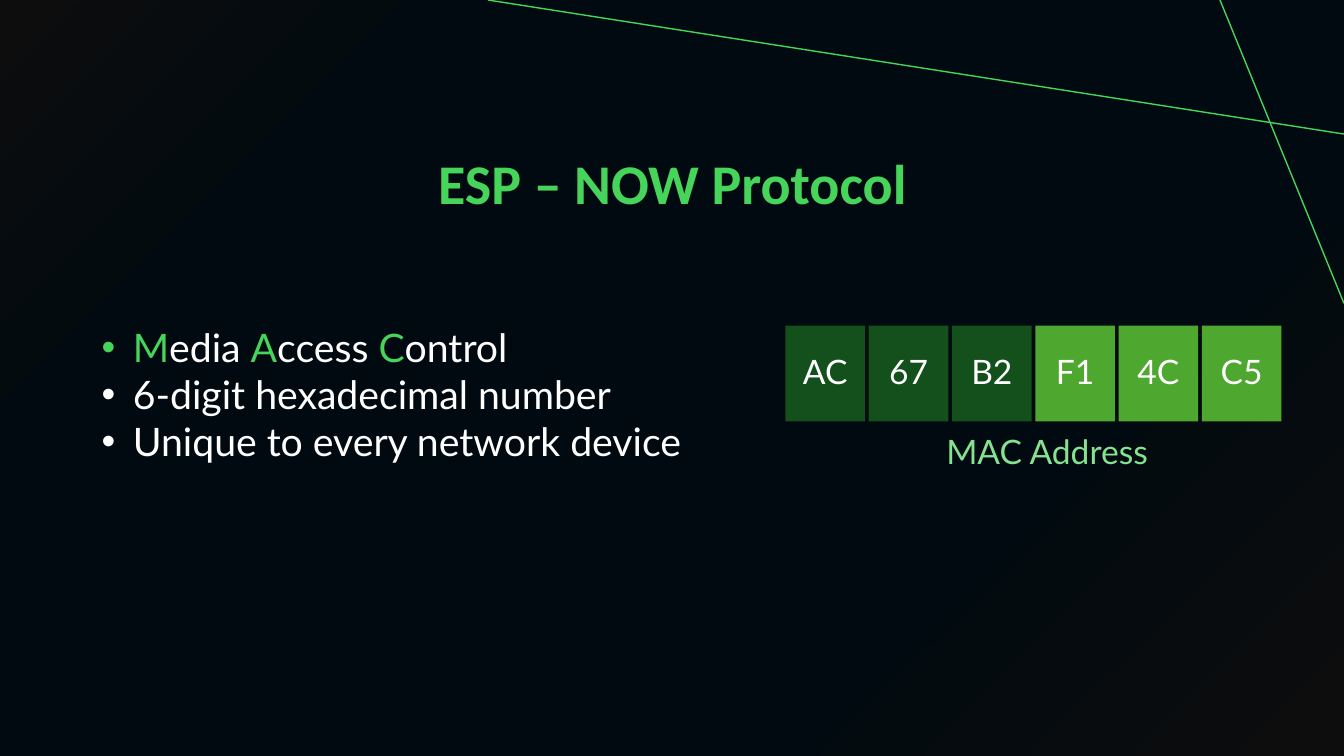
from lxml.etree import SubElement
from pptx import Presentation
from pptx.dml.color import RGBColor
from pptx.enum.shapes import MSO_CONNECTOR, MSO_SHAPE
from pptx.enum.text import MSO_ANCHOR, MSO_AUTO_SIZE, PP_ALIGN
from pptx.oxml.ns import qn
from pptx.util import Inches, Pt

GREEN, WHITE = "47D45A", "FFFFFF"
DARK_GREEN, LEAF_GREEN, PALE_GREEN = "13501B", "4EA72E", "84E291"
BACKGROUND_STOPS = [(0, "0D0D0D"), (23, "010A10"), (70, "010A10"), (100, "0D0D0D")]
ACCENT_LINES = [(13.33, 1.33, 4.84, 0), (12.1, 0, 13.33, 3.01)]
MAC_BYTES = ["AC", "67", "B2", "F1", "4C", "C5"]
FIRST_BYTE_LEFT, LAST_BYTE_LEFT = 7.79, 11.92
MAC_FACTS = [
    [("M", GREEN), ("edia ", WHITE), ("A", GREEN), ("ccess ", WHITE), ("C", GREEN), ("ontrol", WHITE)],
    [("6-digit hexadecimal number", WHITE)],
    [("Unique to every network device", WHITE)],
]
CENTERED = {"alignment": PP_ALIGN.CENTER}


def rgb(color):
    """Turn a hex string into a colour."""
    return RGBColor.from_string(color)


def apply(target, formats):
    """Set each attribute in formats on target."""
    for attribute, value in formats.items():
        setattr(target, attribute, value)


def paint_background(slide):
    """Fill the background with a gradient radiating from the top left corner."""
    slide.background.fill.gradient()
    gradient = slide.element.xpath(".//p:bgPr/a:gradFill")[0]
    for part in list(gradient):
        gradient.remove(part)
    stops = SubElement(gradient, qn("a:gsLst"))
    for position, color in BACKGROUND_STOPS:
        stop = SubElement(stops, qn("a:gs"), pos=str(position * 1000))
        SubElement(stop, qn("a:srgbClr"), val=color)
    spread = SubElement(gradient, qn("a:path"), path="circle")
    SubElement(spread, qn("a:fillToRect"), r="100000", b="100000")


def add_accent_line(slide, x1, y1, x2, y2):
    """Draw one thin green line."""
    accent = slide.shapes.add_connector(MSO_CONNECTOR.STRAIGHT, *map(Inches, (x1, y1, x2, y2)))
    accent.line.color.rgb = rgb(GREEN)
    accent.line.width = Pt(1)
    SubElement(accent.element.spPr, qn("a:effectLst"))


def add_runs(paragraph, runs, size, name="Lato", bold=False):
    """Append coloured runs to a paragraph."""
    for words, color in runs:
        run = paragraph.add_run()
        run.text = words
        apply(run.font, {"size": Pt(size), "name": name, "bold": bold})
        run.font.color.rgb = rgb(color)


def add_text_frame(slide, left, top, width, height):
    """Add a wrapping text box that grows with its text."""
    frame = slide.shapes.add_textbox(*map(Inches, (left, top, width, height))).text_frame
    apply(frame, {"word_wrap": True, "auto_size": MSO_AUTO_SIZE.SHAPE_TO_FIT_TEXT})
    return frame


def add_bullets(frame, facts):
    """Write the facts as a bulleted list."""
    for index, runs in enumerate(facts):
        paragraph = frame.add_paragraph() if index else frame.paragraphs[0]
        properties = paragraph._p.get_or_add_pPr()
        properties.set("marL", str(Inches(0.31)))
        properties.set("indent", str(Inches(-0.31)))
        SubElement(properties, qn("a:buFont"), typeface="Arial")
        SubElement(properties, qn("a:buChar"), char="•")
        add_runs(paragraph, runs, 28)


def add_mac_byte(slide, left, digits, color):
    """Add one tile of the MAC address."""
    tile = slide.shapes.add_shape(MSO_SHAPE.RECTANGLE, *map(Inches, (left, 3.23, 0.79, 0.95)))
    tile.shadow.inherit = False
    tile.fill.solid()
    tile.fill.fore_color.rgb = rgb(color)
    tile.line.fill.background()
    margins = dict.fromkeys(["margin_left", "margin_top", "margin_right", "margin_bottom"], Inches(0.07))
    apply(tile.text_frame, {"vertical_anchor": MSO_ANCHOR.MIDDLE, "word_wrap": True, **margins})
    paragraph = tile.text_frame.paragraphs[0]
    apply(paragraph, {**CENTERED, "line_spacing": 0.9})
    add_runs(paragraph, [(digits, WHITE)], 24)


def main():
    """Build the slide and save it."""
    deck = Presentation()
    apply(deck, {"slide_width": Inches(13.33), "slide_height": Inches(7.5)})
    slide = deck.slides.add_slide(deck.slide_layouts[6])
    paint_background(slide)
    for ends in ACCENT_LINES:
        add_accent_line(slide, *ends)

    caption = add_text_frame(slide, 8.19, 4.23, 4.39, 0.5).paragraphs[0]
    apply(caption, CENTERED)
    add_runs(caption, [("MAC Address", PALE_GREEN)], 24)

    pitch = (LAST_BYTE_LEFT - FIRST_BYTE_LEFT) / (len(MAC_BYTES) - 1)
    for index, digits in enumerate(MAC_BYTES):
        color = DARK_GREEN if index < len(MAC_BYTES) // 2 else LEAF_GREEN
        add_mac_byte(slide, FIRST_BYTE_LEFT + index * pitch, digits, color)

    add_bullets(add_text_frame(slide, 0.91, 3.16, 6.13, 1.51), MAC_FACTS)

    title = add_text_frame(slide, 3.84, 1.38, 5.66, 0.79).paragraphs[0]
    apply(title, {**CENTERED, "line_spacing": 1.07, "space_after": Pt(3)})
    add_runs(title, [("ESP – NOW Protocol", GREEN)], 40, "Calibri", True)
    deck.save("out.pptx")


if __name__ == "__main__":
    main()
